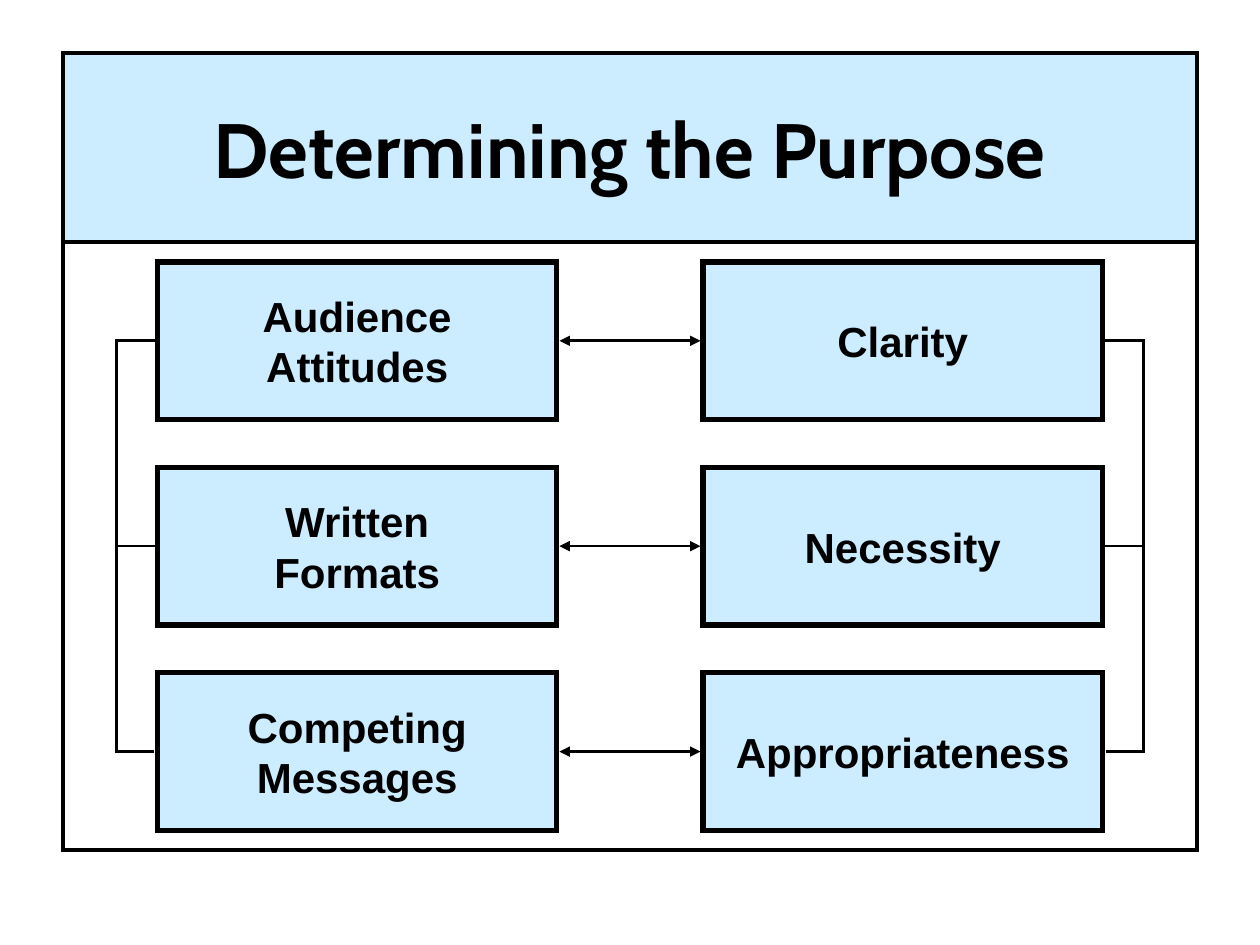
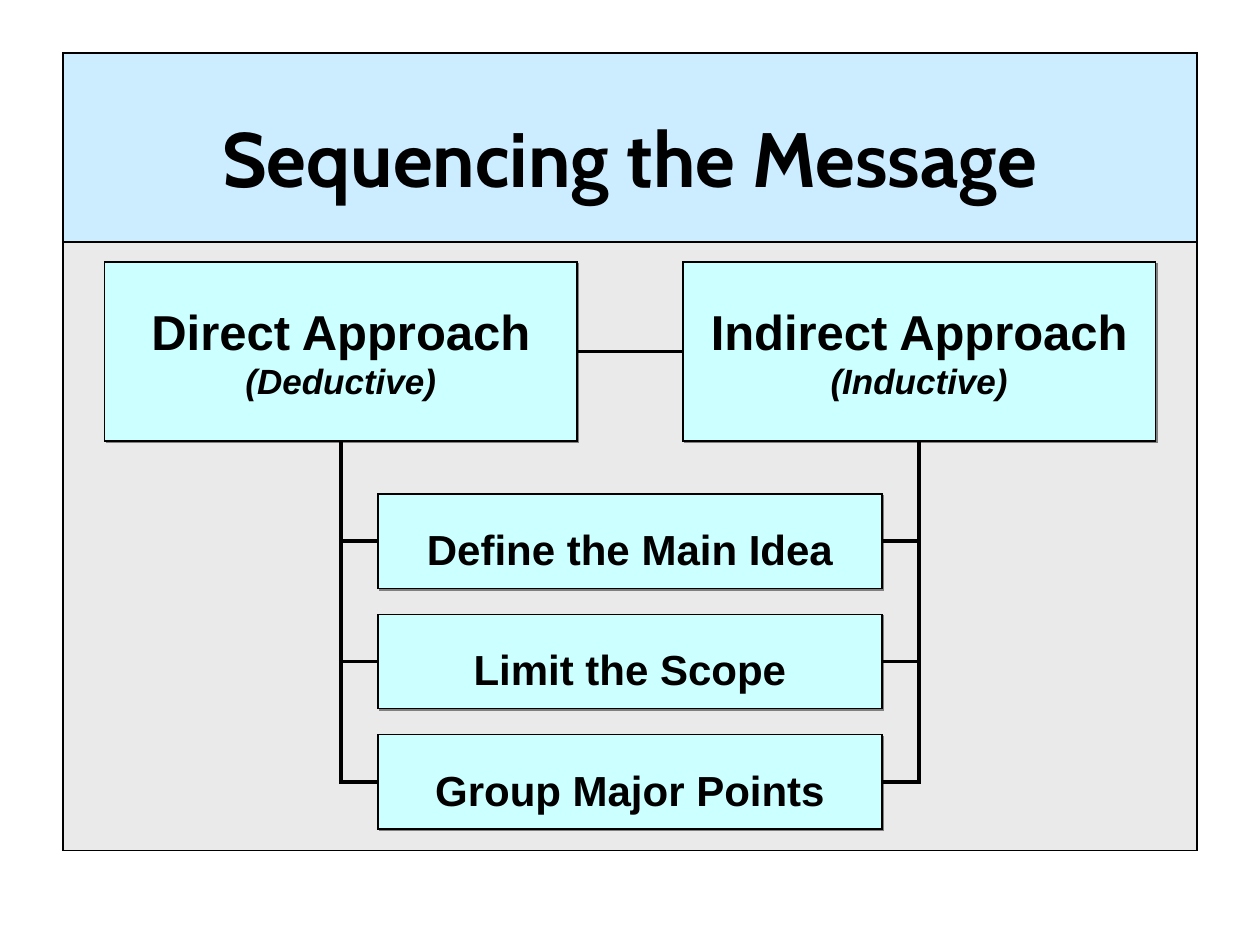
import dataclasses

import pptx
import pptx.dml.color
import pptx.enum.shapes
import pptx.enum.text
import pptx.oxml
import pptx.oxml.ns
import pptx.util

Inches = pptx.util.Inches
Pt = pptx.util.Pt
CONNECTOR = pptx.enum.shapes.MSO_CONNECTOR


@dataclasses.dataclass(frozen=True)
class Theme:
    ink: str = "000000"
    paper: str = "FFFFFF"
    sky: str = "CCECFF"
    aqua: str = "CCFFFF"
    grey: str = "EAEAEA"
    shadow: str = "808080"
    title_font: str = "Cabin"
    body_font: str = "Arial"
    title_size: int = 44
    approach_size: int = 28
    body_size: int = 24
    note_size: int = 20
    thin: float = 0.75
    medium: float = 1.5
    frame: float = 2.25
    thick: float = 3


THEME = Theme()


@dataclasses.dataclass(frozen=True)
class Box:
    """A rectangle in inches."""
    left: float
    top: float
    width: float
    height: float

    @property
    def right(self):
        return self.left + self.width

    @property
    def bottom(self):
        return self.top + self.height

    @property
    def center(self):
        return self.left + self.width / 2

    @property
    def middle(self):
        return self.top + self.height / 2


TITLE = Box(0.5, 0.42, 9, 1.5)
PANEL = Box(0.5, 1.92, 9, 4.83)


def rgb(value):
    return pptx.dml.color.RGBColor.from_string(value)


def element(tag, attributes="", content=""):
    ns = pptx.oxml.ns.nsdecls("a")
    return pptx.oxml.parse_xml(f"<a:{tag} {ns} {attributes}>{content}</a:{tag}>")


def add_text(sp, text, size=THEME.body_size, font=THEME.body_font, italic=False, spacing=None):
    """Write one centred bold paragraph per line of text, after any text already there."""
    tf = sp.text_frame
    for line in text.split("\n"):
        p = tf.add_paragraph() if tf.text else tf.paragraphs[0]
        p.alignment = pptx.enum.text.PP_ALIGN.CENTER
        if spacing:
            p.line_spacing = spacing
        r = p.add_run()
        r.text = line
        r.font.name = font
        r.font.size = Pt(size)
        r.font.bold = True
        r.font.italic = italic
        r.font.color.rgb = rgb(THEME.ink)


def set_outline(sp, weight):
    """Give a shape or connector a black line with square corners; return its XML."""
    sp.line.color.rgb = rgb(THEME.ink)
    sp.line.width = Pt(weight)
    ln = sp._element.spPr.find(pptx.oxml.ns.qn("a:ln"))
    ln.append(element("miter", 'lim="800000"'))
    return ln


def add_box(s, box, fill, weight, shadow=False):
    sp = s.shapes.add_shape(
        pptx.enum.shapes.MSO_SHAPE.RECTANGLE,
        Inches(box.left), Inches(box.top), Inches(box.width), Inches(box.height))
    sp.fill.solid()
    sp.fill.fore_color.rgb = rgb(fill)
    set_outline(sp, weight)
    sp.shadow.inherit = False
    if shadow:
        effects = sp._element.spPr.find(pptx.oxml.ns.qn("a:effectLst"))
        effects.append(element(
            "outerShdw", f'dist="{Pt(1.4)}" dir="2700000" algn="ctr" rotWithShape="0"',
            f'<a:srgbClr val="{THEME.shadow}"/>'))
    sp.text_frame.word_wrap = False
    sp.text_frame.vertical_anchor = pptx.enum.text.MSO_ANCHOR.MIDDLE
    return sp


def add_line(s, start, end, weight, kind=CONNECTOR.STRAIGHT, arrows=False):
    c = s.shapes.add_connector(kind, *map(Inches, start + end))
    ln = set_outline(c, weight)
    if arrows:
        for tag in ("headEnd", "tailEnd"):
            ln.append(element(tag, 'type="triangle"'))
    c._element.spPr.append(element("effectLst"))
    return c


def add_bracket(s, x, top, bottom, reach, weight):
    """Join two heights at x by a line that bulges sideways by reach."""
    step = 0.01 if reach > 0 else -0.01
    c = add_line(s, (x, top), (x + step, bottom), weight, CONNECTOR.ELBOW)
    guides = c._element.spPr.prstGeom.get_or_add_avLst()
    guides.append(element("gd", f'name="adj1" fmla="val {round(reach / step * 100000)}"'))


def add_corner(s, start, end, weight):
    """Go straight down from start, then sideways to end."""
    (x0, y0), (x1, y1) = start, end
    length, depth = y1 - y0, abs(x1 - x0)
    left, top = (x0 + x1 - length) / 2, (y0 + y1 - depth) / 2
    near, far = (left, left + length) if x1 < x0 else (left + length, left)
    c = add_line(s, (near, top), (far, top + depth), weight, CONNECTOR.ELBOW)
    sp_pr = c._element.spPr
    sp_pr.prstGeom.set("prst", "bentConnector2")
    sp_pr.xfrm.set("rot", str((90 if x1 < x0 else 270) * 60000))


def stack(area, count, height):
    """Split an area into equal boxes that fill it from top to bottom."""
    pitch = (area.height - height) / (count - 1)
    return [Box(area.left, area.top + i * pitch, area.width, height) for i in range(count)]


def add_frame(prs, title, fill, weight, spacing=None):
    s = prs.slides.add_slide(prs.slide_layouts[6])
    add_box(s, PANEL, fill, weight)
    sp = add_box(s, TITLE, THEME.sky, weight)
    add_text(sp, title, size=THEME.title_size, font=THEME.title_font, spacing=spacing)
    return s


def add_purpose_pairs(s, panel, pairs):
    margin, inset, width, height = 0.16, 0.75, 3.17, 1.25
    edge, reach = 0.02, 0.31
    area = Box(panel.left + inset, panel.top + margin, width, panel.height - 2 * margin)
    lefts = stack(area, len(pairs), height)
    rights = [dataclasses.replace(b, left=panel.right - inset - width) for b in lefts]
    for left, right, texts in zip(lefts, rights, pairs):
        for box, text in zip((left, right), texts):
            add_text(add_box(s, box, THEME.sky, THEME.thick), text)
        add_line(s, (left.right + edge, left.middle), (right.left - edge, left.middle),
                 THEME.medium, arrows=True)
    for upper, lower in zip(lefts, lefts[1:]):
        for x, outward in ((area.left - edge, -1), (rights[0].right + edge, 1)):
            add_bracket(s, x, upper.middle, lower.middle, outward * reach, THEME.medium)


def add_approaches(s, panel, approaches):
    margin, inset, width, height = 0.16, 0.33, 3.75, 1.42
    top = panel.top + margin
    boxes = [Box(x, top, width, height)
             for x in (panel.left + inset, panel.right - inset - width)]
    for box, (name, note) in zip(boxes, approaches):
        sp = add_box(s, box, THEME.aqua, THEME.thin, shadow=True)
        add_text(sp, name, size=THEME.approach_size)
        add_text(sp, note, size=THEME.note_size, italic=True)
    left, right = boxes
    add_line(s, (left.right, left.middle), (right.left, right.middle), THEME.frame)
    return boxes


def add_steps(s, panel, steps, approaches):
    offset, margin, width, height = 2, 0.17, 4, 0.75
    area = Box(panel.center - width / 2, panel.top + offset,
               width, panel.height - offset - margin)
    boxes = stack(area, len(steps), height)
    for box, step in zip(boxes, steps):
        sp = add_box(s, box, THEME.aqua, THEME.thin, shadow=True)
        add_text(sp, step, spacing=1.3)
    for approach, side in zip(approaches, (area.left, area.right)):
        for box in boxes:
            add_corner(s, (approach.center, approach.bottom), (side, box.middle), THEME.frame)


def purpose_slide(prs):
    s = add_frame(prs, "Determining the Purpose", THEME.paper, THEME.frame)
    add_purpose_pairs(s, PANEL, [
        ("Audience\nAttitudes", "Clarity"),
        ("Written\nFormats", "Necessity"),
        ("Competing\nMessages", "Appropriateness"),
    ])


def sequence_slide(prs):
    s = add_frame(prs, "Sequencing the Message", THEME.grey, THEME.thin, spacing=1.2)
    approaches = add_approaches(s, PANEL, [
        ("Direct Approach", "(Deductive)"),
        ("Indirect Approach", "(Inductive)"),
    ])
    add_steps(s, PANEL, ["Define the Main Idea", "Limit the Scope", "Group Major Points"],
              approaches)


def main():
    prs = pptx.Presentation()
    prs.slide_width = Inches(10)
    prs.slide_height = Inches(7.5)
    purpose_slide(prs)
    sequence_slide(prs)
    prs.save("out.pptx")


if __name__ == "__main__":
    main()
